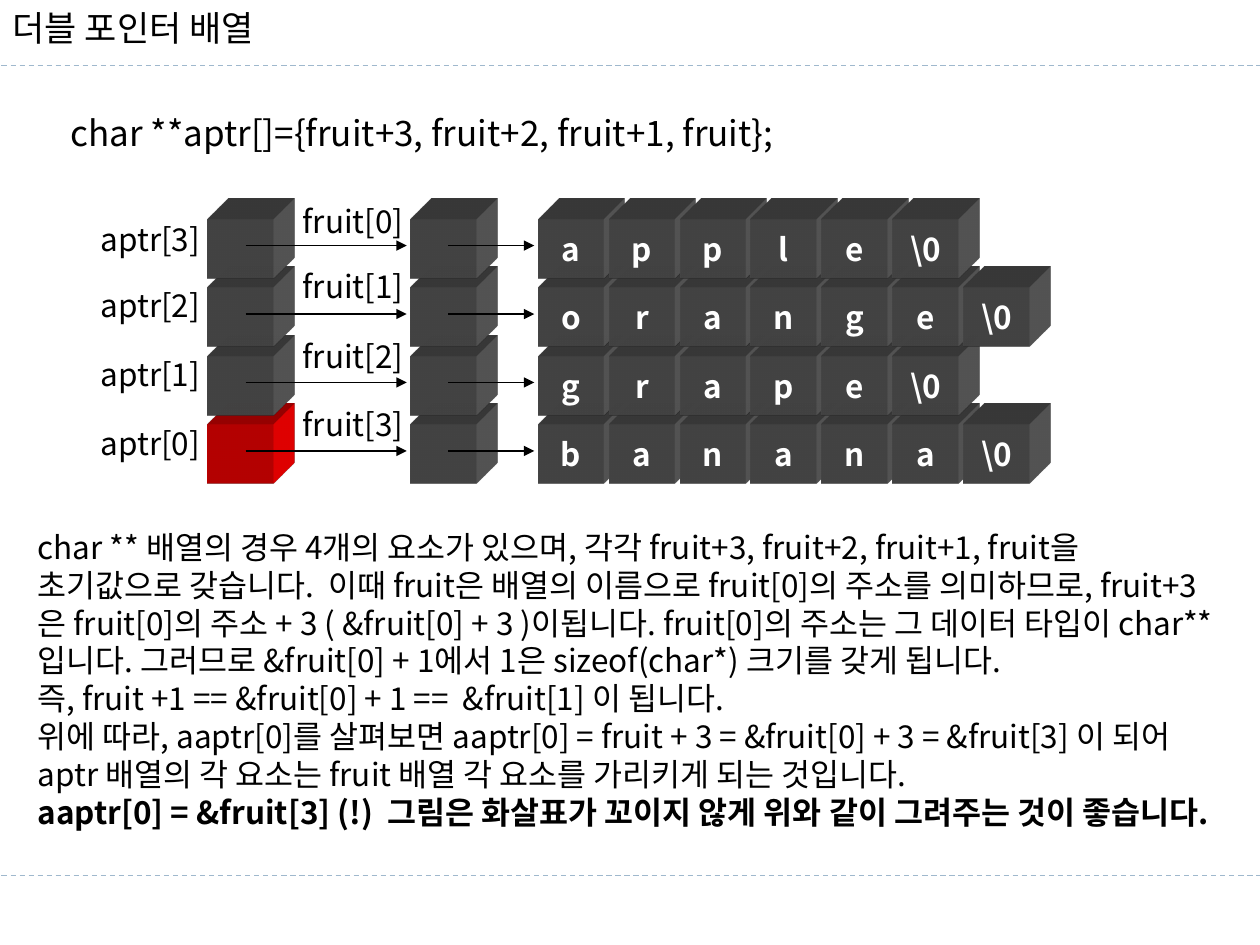
from dataclasses import dataclass

from lxml.etree import SubElement
from pptx import Presentation
from pptx.dml.color import RGBColor as Rgb
from pptx.enum.dml import MSO_LINE as Dash
from pptx.enum.shapes import MSO_CONNECTOR as Link, MSO_SHAPE as Form
from pptx.enum.text import MSO_ANCHOR as Anchor, PP_ALIGN as Align
from pptx.oxml import parse_xml
from pptx.oxml.ns import nsdecls, qn
from pptx.util import Cm, Pt


@dataclass
class Theme:
    ink: str = "000000"
    pale: str = "FFFFFF"
    gray: str = "5F5F5F"
    red: str = "FF0000"
    rule: str = "9FB8CD"
    font: str = "Noto Sans CJK KR"
    head: str = "Calibri"
    big: int = 20
    mid: int = 18


look = Theme()


def write(shape, text, size=look.mid, font=look.font, color=look.ink,
          align=Align.LEFT, anchor=Anchor.TOP, wrap=False, bold=()):
    frame = shape.text_frame
    frame.word_wrap = wrap
    frame.vertical_anchor = anchor
    for i, part in enumerate(text.split("\n")):
        para = frame.paragraphs[0] if i == 0 else frame.add_paragraph()
        para.alignment = align
        para.line_spacing = Pt(size * 1.2)
        run = para.add_run()
        run.text = part
        run.font.name = font
        run.font.size = Pt(size)
        run.font.bold = i in bold
        run.font.color.rgb = Rgb.from_string(color)
        if font == look.font:
            SubElement(run.font._element, qn("a:ea")).set("typeface", font)


def draw(left, right, y, color=look.ink, arrow=True):
    line = slide.shapes.add_connector(Link.STRAIGHT, Cm(left), Cm(y), Cm(right), Cm(y))
    line.line.color.rgb = Rgb.from_string(color)
    line.line.width = Pt(0.75)
    if arrow:
        SubElement(line.line._get_or_add_ln(), qn("a:tailEnd")).set("type", "triangle")
    else:
        line.line.dash_style = Dash.DASH
    SubElement(line._element.spPr, qn("a:effectLst"))


deck = Presentation()
deck.slide_width, deck.slide_height = Cm(25.4), Cm(19.05)
slide = deck.slides.add_slide(deck.slide_layouts[5])

for y in (17.65, 1.32):
    draw(0.03, 25.4, y, look.rule, arrow=False)

title = slide.shapes.title
title.left, title.top, title.width, title.height = Cm(0), Cm(0), Cm(5.97), Cm(1.12)
write(title, "더블 포인터 배열", size=look.big, font=look.head)

code = slide.shapes.add_textbox(Cm(1.17), Cm(2.13), Cm(18.59), Cm(1.4))
write(code, "char **aptr[]={fruit+3, fruit+2, fruit+1, fruit};", size=look.big, wrap=True)

words = ["apple", "orange", "grape", "banana"]
tags = [3.94, 5.26, 6.66, 8.05]
wide, high, step = 1.32, 1.19, 1.43
apts, ptrs, first = 4.19, 8.28, 10.85

for row in reversed(range(len(words))):
    top = 4.42 + 1.38 * row
    base = look.red if row == 3 else look.gray
    cells = [(apts, "", base), (ptrs, "", look.gray)]
    for i, char in enumerate([*words[row], "\\0"]):
        cells.append((first + step * i, char, look.gray))
    for left, char, fill in cells:
        cube = slide.shapes.add_shape(Form.RECTANGLE, Cm(left), Cm(top), Cm(wide), Cm(high))
        cube.shadow.inherit = False
        cube.fill.solid()
        cube.fill.fore_color.rgb = Rgb.from_string(fill)
        cube.line.fill.background()
        cube._element.spPr.append(parse_xml(
            f'<a:scene3d {nsdecls("a")}><a:camera prst="legacyObliqueTopRight"/>'
            '<a:lightRig rig="legacyFlat3" dir="b"/></a:scene3d>'))
        cube._element.spPr.append(parse_xml(
            f'<a:sp3d {nsdecls("a")} extrusionH="430200" prstMaterial="legacyMatte">'
            '<a:bevelT w="13500" h="13500" prst="angle"/>'
            '<a:bevelB w="13500" h="13500" prst="angle"/>'
            f'<a:extrusionClr><a:srgbClr val="{fill}"/></a:extrusionClr></a:sp3d>'))
        if char:
            write(cube, char, color=look.pale, align=Align.CENTER,
                  anchor=Anchor.MIDDLE, bold=(0,))

for row, y in enumerate(tags):
    mid = 4.95 + 1.38 * row
    draw(4.95, 8.2, mid)
    draw(9.04, 10.77, mid)
    for left, top, name in ((5.83, y, f"fruit[{row}]"), (1.74, y + 0.38, f"aptr[{3 - row}]")):
        label = slide.shapes.add_textbox(Cm(left), Cm(top), Cm(2.58), Cm(1.02))
        write(label, name, align=Align.CENTER)

note = slide.shapes.add_textbox(Cm(0.51), Cm(10.52), Cm(24.41), Cm(6.4))
write(note, (
    "char ** 배열의 경우 4개의 요소가 있으며, 각각 fruit+3, fruit+2, fruit+1, fruit을 "
    "초기값으로 갖습니다.  이때 fruit은 배열의 이름으로 fruit[0]의 주소를 의미하므로, "
    "fruit+3은 fruit[0]의 주소 + 3 ( &fruit[0] + 3 )이됩니다. fruit[0]의 주소는 그 데이터 "
    "타입이 char** 입니다. 그러므로 &fruit[0] + 1에서 1은 sizeof(char*) 크기를 갖게 됩니다.\n"
    "즉, fruit +1 == &fruit[0] + 1 ==  &fruit[1] 이 됩니다.\n"
    "위에 따라, aaptr[0]를 살펴보면 aaptr[0] = fruit + 3 = &fruit[0] + 3 = &fruit[3] 이 되어 "
    "aptr 배열의 각 요소는 fruit 배열 각 요소를 가리키게 되는 것입니다.\n"
    "aaptr[0] = &fruit[3] (!)  그림은 화살표가 꼬이지 않게 위와 같이 그려주는 것이 좋습니다."
), wrap=True, bold=(3,))

deck.save("out.pptx")
